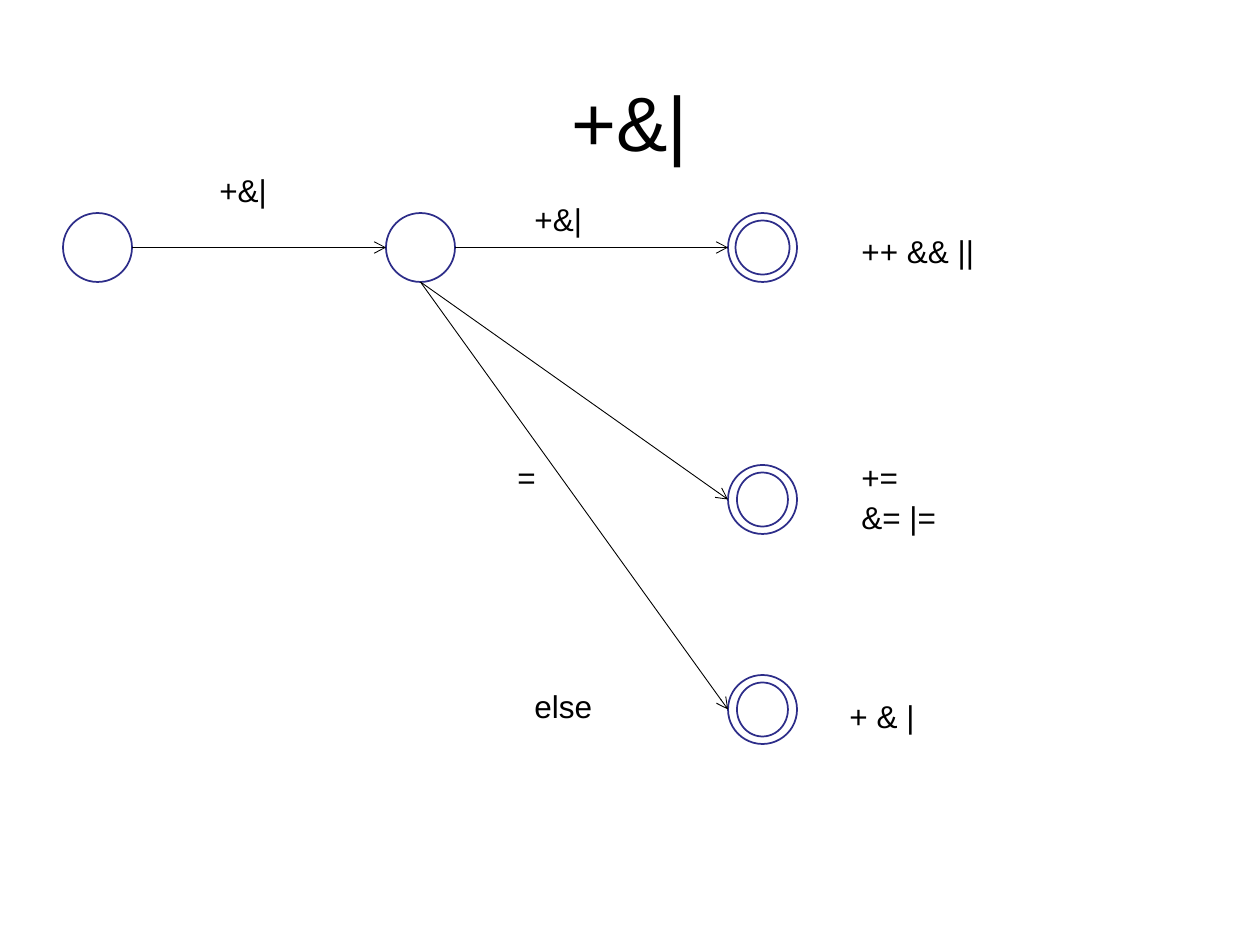
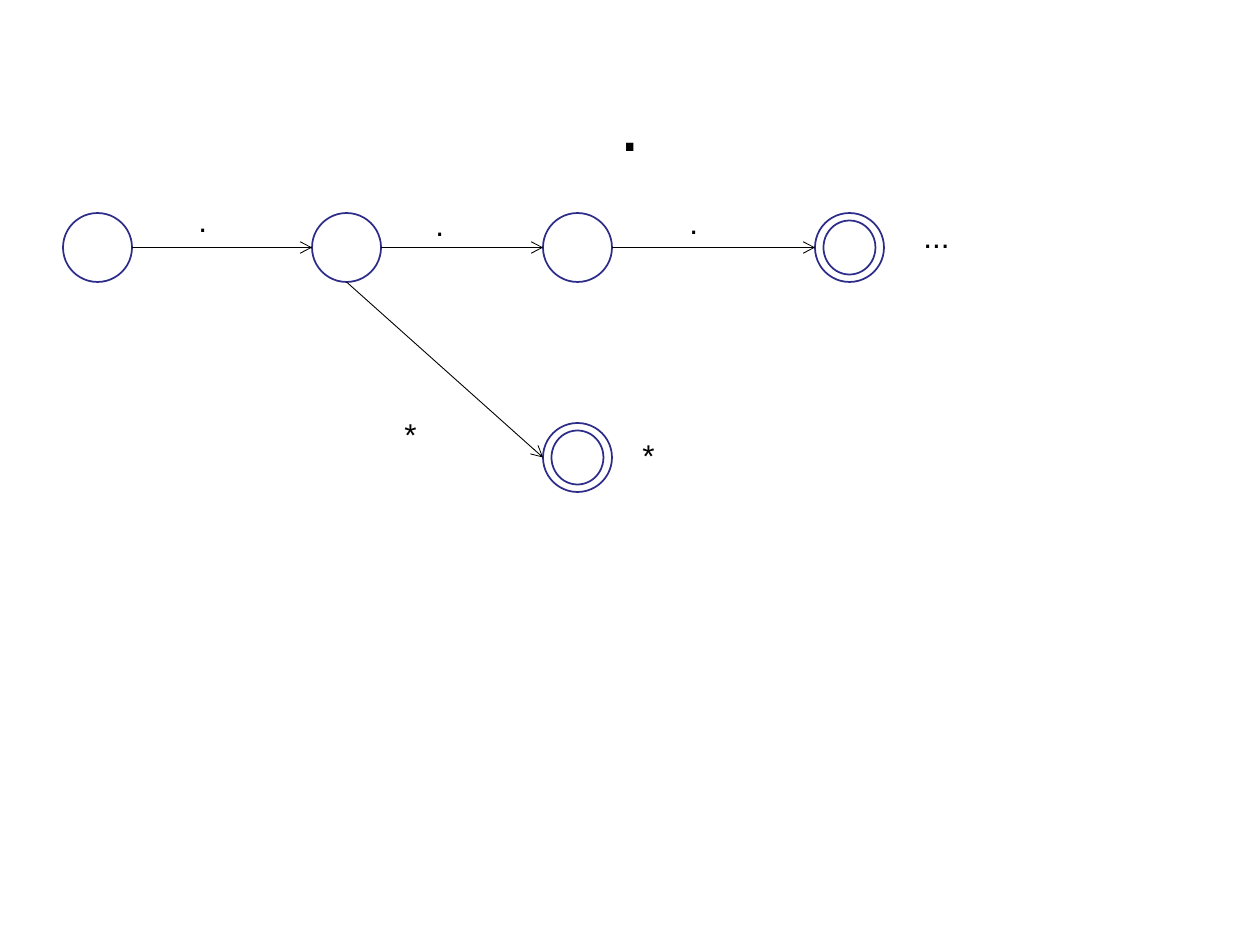
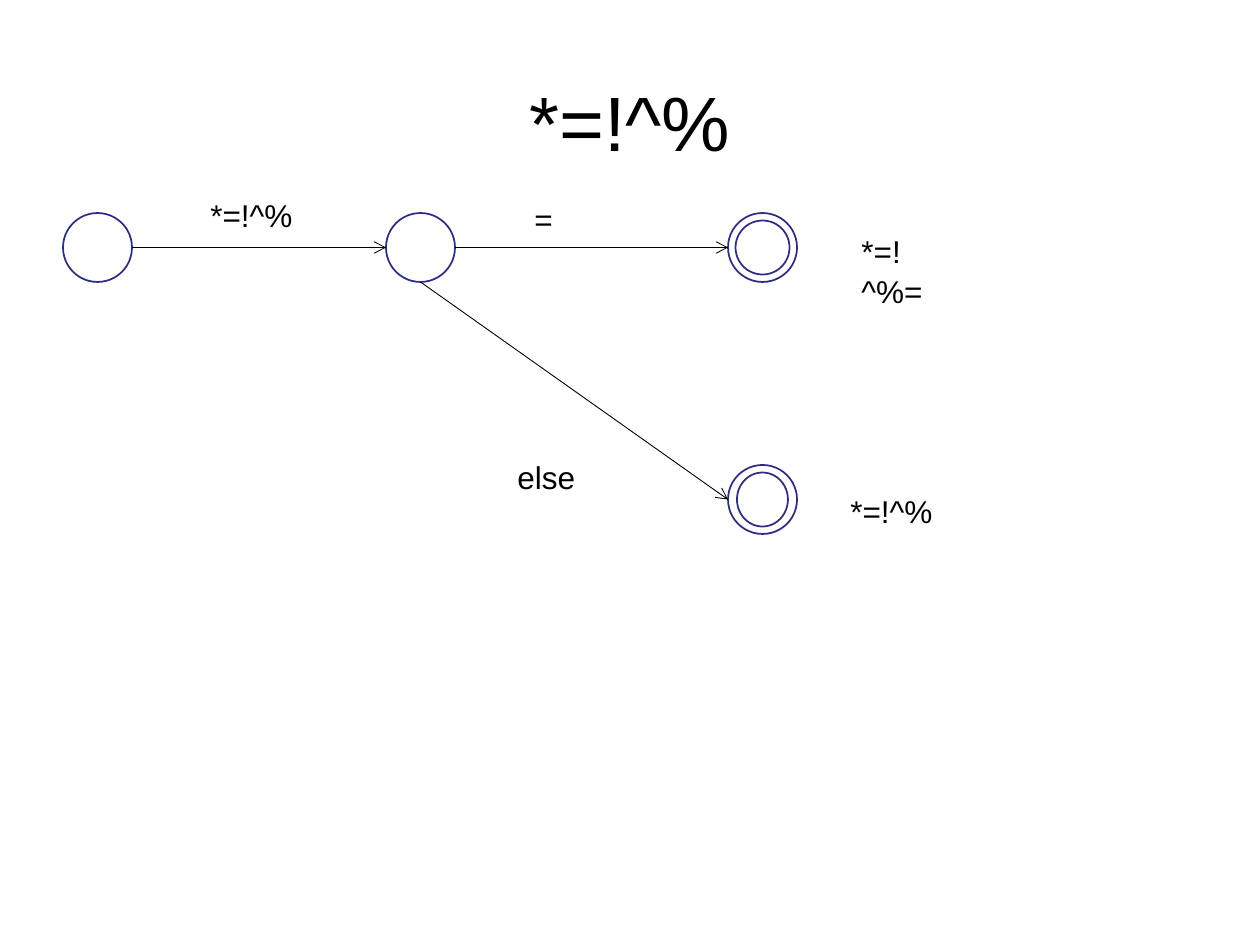
from lxml.etree import SubElement
from pptx import Presentation
from pptx.dml.color import RGBColor
from pptx.enum.shapes import MSO_CONNECTOR, MSO_SHAPE
from pptx.enum.text import MSO_ANCHOR, PP_ALIGN
from pptx.oxml.ns import qn
from pptx.util import Emu, Pt

EMU_PER_PX = 914400 / 126
SLIDE_SIZE = (1260, 945)
TITLE_BOX = (63, 38, 1134, 157)
STATE_SIZE = 69
INNER_HEIGHT = 54
LABEL_HEIGHT = 50
FONT = "Arial"
INK, OUTLINE, PAPER = "000000", "2D2D89", "FFFFFF"

# A state is left, top and, for an accepting one, the width of its inner ring.
START = (63, 213, None)
OPERATOR_READ = (386, 213, None)
UPPER_ACCEPT = (728, 213, 54)
MIDDLE_ACCEPT = (728, 465, 51)
LOWER_ACCEPT = (728, 675, 51)

# Arrows are "across" (right side to left side) or "down" (bottom to left side).
# Labels are text, left, top and width.
AUTOMATA = [
    {
        "title": "+&|",
        "states": {"start": START, "read": OPERATOR_READ, "double": UPPER_ACCEPT,
                   "assign": MIDDLE_ACCEPT, "single": LOWER_ACCEPT},
        "arrows": [("start", "read", "across"), ("read", "double", "across"),
                   ("read", "assign", "down"), ("read", "single", "down")],
        "labels": [("+&|", 207, 163, 126), ("+&|", 522, 192, 159),
                   ("=", 505, 450, 125), ("else", 522, 679, 149),
                   ("++ && ||", 849, 224, 183), ("+= &= |=", 849, 450, 102),
                   ("+ & |", 837, 689, 121)],
    },
    {
        "title": ".",
        "states": {"start": START, "one dot": (312, 213, None),
                   "two dots": (543, 213, None), "ellipsis": (815, 213, 52),
                   "star": (543, 423, 52)},
        "arrows": [("start", "one dot", "across"), ("one dot", "two dots", "across"),
                   ("two dots", "ellipsis", "across"), ("one dot", "star", "down")],
        "labels": [(".", 186, 193, 66), (".", 423, 197, 92), (".", 677, 195, 73),
                   ("*", 392, 407, 106), ("*", 630, 428, 129),
                   ("...", 911, 209, 116)],
    },
    {
        "title": "*=!^%",
        "states": {"start": START, "read": OPERATOR_READ, "assign": UPPER_ACCEPT,
                   "single": MIDDLE_ACCEPT},
        "arrows": [("start", "read", "across"), ("read", "assign", "across"),
                   ("read", "single", "down")],
        "labels": [("*=!^%", 198, 188, 115), ("=", 522, 192, 159),
                   ("else", 505, 450, 125), ("*=!^%=", 849, 224, 118),
                   ("*=!^%", 838, 484, 137)],
    },
]


def px(*lengths):
    return [Emu(round(length * EMU_PER_PX)) for length in lengths]


def color(value):
    return RGBColor.from_string(value)


def add_text(slide, text, box, size, spacing, align=PP_ALIGN.LEFT, anchor=MSO_ANCHOR.TOP):
    frame = slide.shapes.add_textbox(*px(*box)).text_frame
    frame.word_wrap = True
    frame.vertical_anchor = anchor
    paragraph = frame.paragraphs[0]
    paragraph.alignment = align
    paragraph.line_spacing = spacing
    run = paragraph.add_run()
    run.text = text
    run.font.size = Pt(size)
    run.font.name = FONT
    run.font.color.rgb = color(INK)


def add_ring(slide, left, top, width, height):
    ring = slide.shapes.add_shape(MSO_SHAPE.OVAL, *px(left, top, width, height))
    ring.shadow.inherit = False
    ring.fill.solid()
    ring.fill.fore_color.rgb = color(PAPER)
    ring.line.color.rgb = color(OUTLINE)
    ring.line.width = Pt(1)


def add_state(slide, left, top, inner_width):
    add_ring(slide, left, top, STATE_SIZE, STATE_SIZE)
    if inner_width:
        add_ring(slide, left + (STATE_SIZE - inner_width) / 2,
                 top + (STATE_SIZE - INNER_HEIGHT) / 2, inner_width, INNER_HEIGHT)


def add_arrow(slide, source, target, direction):
    half = STATE_SIZE / 2
    left, top, _ = source
    if direction == "across":
        begin = (left + STATE_SIZE, top + half)
    else:
        begin = (left + half, top + STATE_SIZE)
    end = (target[0], target[1] + half)
    arrow = slide.shapes.add_connector(MSO_CONNECTOR.STRAIGHT, *px(*begin, *end))
    arrow.line.color.rgb = color(INK)
    arrow.line.width = Pt(0.5)
    SubElement(arrow.line._get_or_add_ln(), qn("a:tailEnd"), type="arrow")
    SubElement(arrow._element.spPr, qn("a:effectLst"))


def add_automaton(slide, automaton):
    add_text(slide, automaton["title"], TITLE_BOX, 44, 1.1,
             PP_ALIGN.CENTER, MSO_ANCHOR.MIDDLE)
    states = automaton["states"]
    for state in states.values():
        add_state(slide, *state)
    for source, target, direction in automaton["arrows"]:
        add_arrow(slide, states[source], states[target], direction)
    for text, left, top, width in automaton["labels"]:
        add_text(slide, text, (left, top, width, LABEL_HEIGHT), 18, 1.05)


def main():
    deck = Presentation()
    deck.slide_width, deck.slide_height = px(*SLIDE_SIZE)
    for automaton in AUTOMATA:
        add_automaton(deck.slides.add_slide(deck.slide_layouts[6]), automaton)
    deck.save("out.pptx")


if __name__ == "__main__":
    main()
